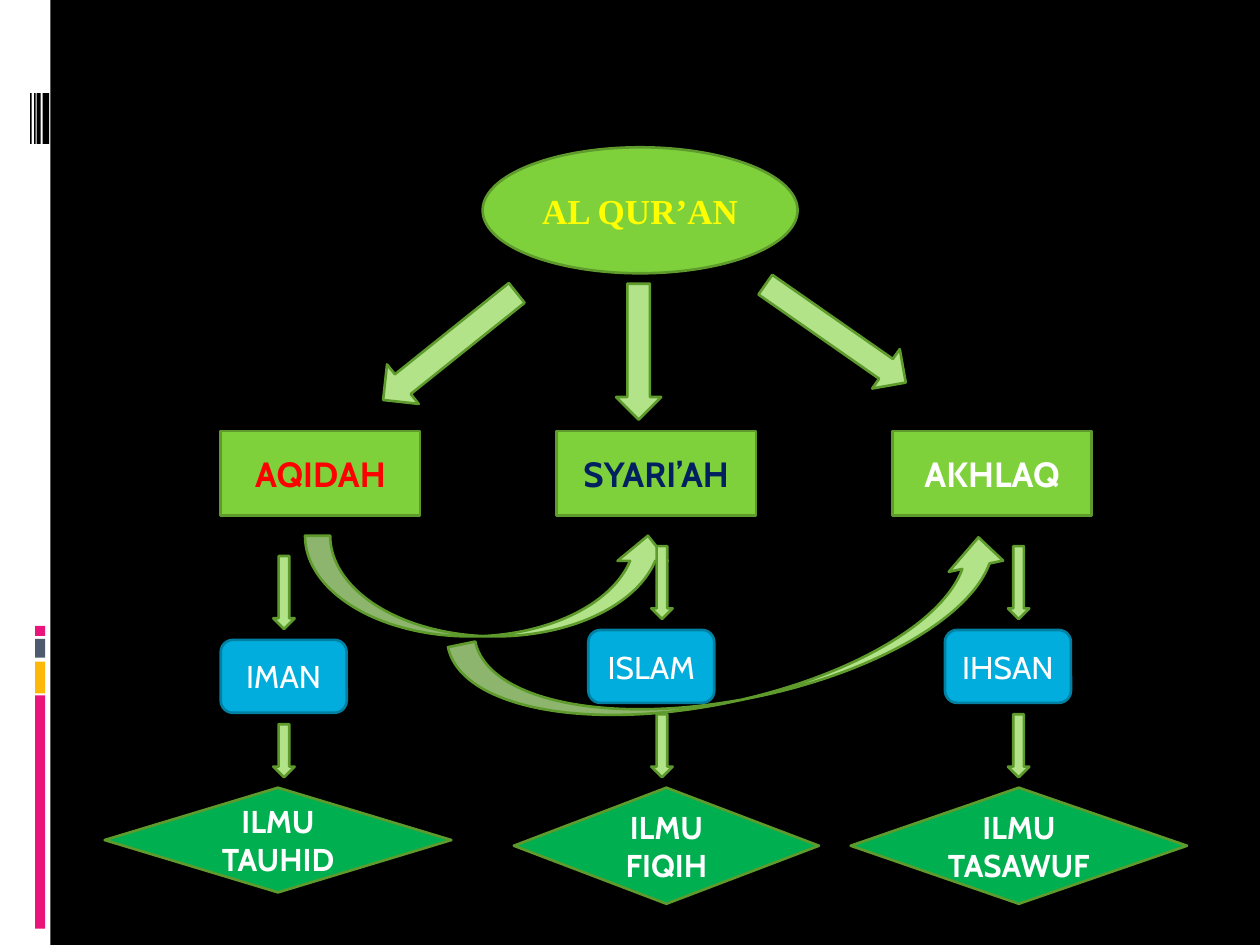
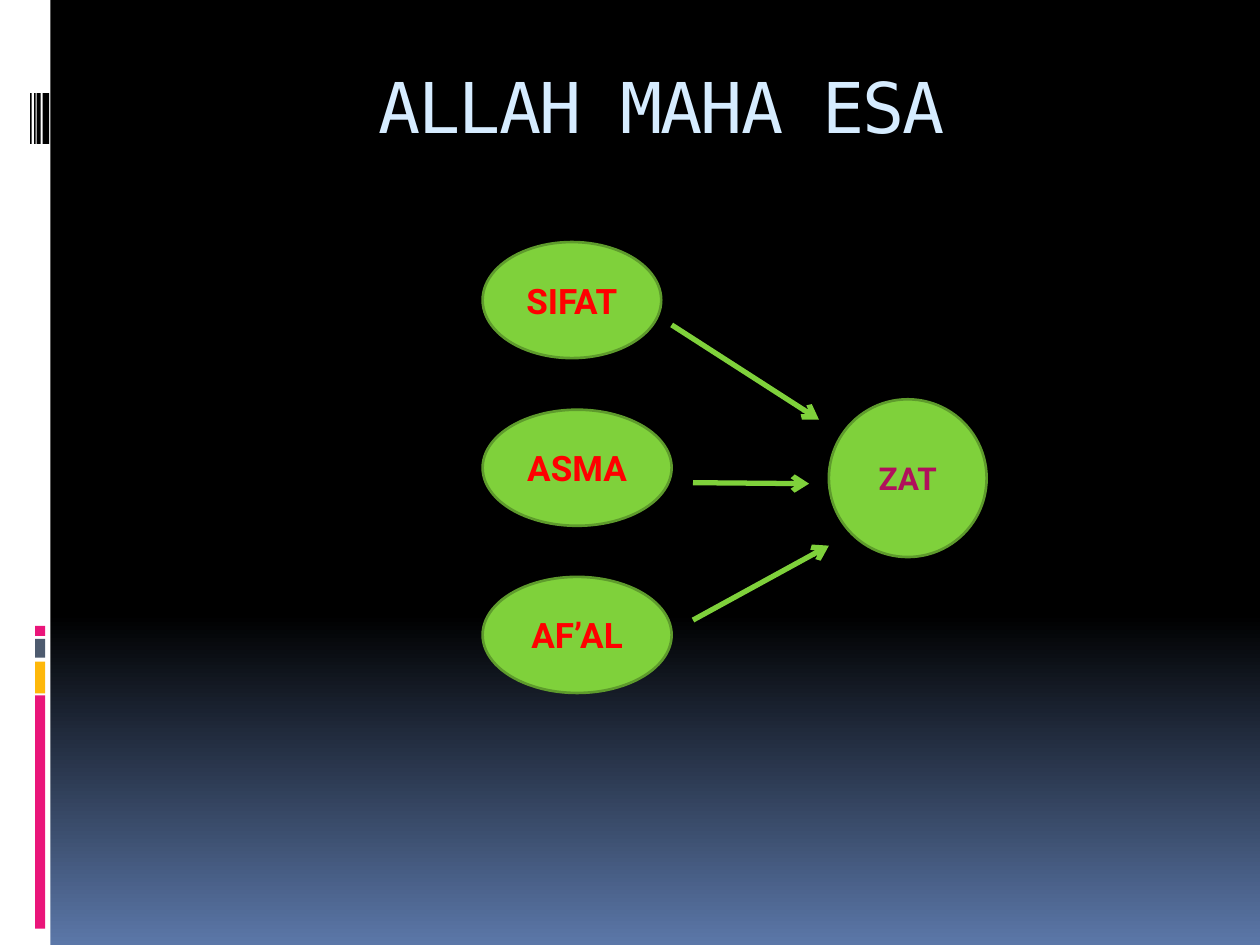
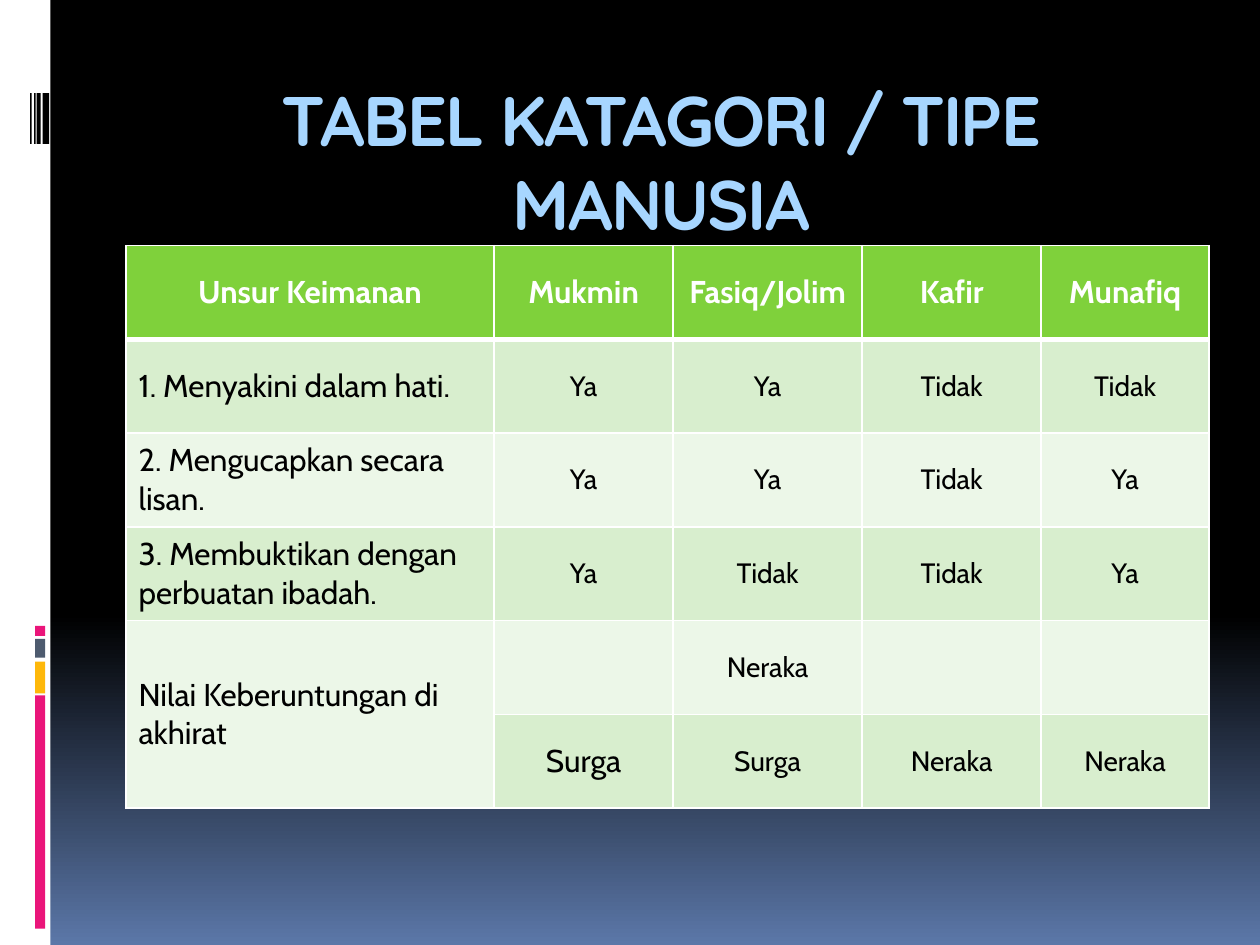
"""Build three slides on Islamic belief: sources, the oneness of God, and types of people."""
from dataclasses import dataclass

from lxml import etree
from pptx import Presentation
from pptx import util as u
from pptx.dml.color import RGBColor
from pptx.enum import shapes, text
from pptx.oxml.ns import qn


@dataclass(frozen=True)
class Theme:
    black: str = "000000"
    white: str = "FFFFFF"
    pink: str = "EA157A"
    amber: str = "FEB80A"
    slate: str = "4E5B6F"
    dusk: str = "5B77A8"
    green: str = "7FD13B"
    green_edge: str = "5E9B2C"
    pale_green: str = "B2E389"
    deep_green: str = "00B050"
    blue: str = "00ADDC"
    blue_edge: str = "0080A3"
    red: str = "FF0000"
    navy: str = "002060"
    yellow: str = "FFFF00"
    plum: str = "B0105C"
    title_ice: str = "D6ECFF"
    title_sky: str = "A7D6FF"
    row_dark: str = "D8EECE"
    row_light: str = "ECF7E8"
    font: str = "Cabin"
    title_size: int = 40
    large: int = 20
    medium: int = 18
    small: int = 16


theme = Theme()
MSO = shapes.MSO_SHAPE
CENTER = text.PP_ALIGN.CENTER


def write(frame, words, colour, align=CENTER, **values):
    """Put words in a text frame and format its runs."""
    frame.text = words
    para = frame.paragraphs[0]
    para.alignment = align
    for span in para.runs:
        for name, value in values.items():
            setattr(span.font, name, value)
        span.font.color.rgb = RGBColor.from_string(colour)


def add_figure(page, kind, place, fill, edge=None, turn=0):
    """Add a filled preset shape at left, top, width, height in centimetres."""
    figure = page.shapes.add_shape(kind, *map(u.Cm, place))
    figure.shadow.inherit = False
    figure.rotation = turn
    figure.fill.solid()
    figure.fill.fore_color.rgb = RGBColor.from_string(fill)
    if edge:
        figure.line.color.rgb = RGBColor.from_string(edge)
        figure.line.width = u.Pt(1.5)
    else:
        figure.line.fill.background()
    return figure


deck = Presentation()
deck.slide_width, deck.slide_height = u.Cm(25.4), u.Cm(19.05)
master = deck.slide_master
backdrop = master.background.fill
backdrop.gradient()
backdrop.gradient_angle = 270
for stop, position, colour in zip(backdrop.gradient_stops, (0.65, 1), (theme.black, theme.dusk)):
    stop.position = position
    stop.color.rgb = RGBColor.from_string(colour)

blank, title_only = deck.slide_layouts[6], deck.slide_layouts[5]
sources = deck.slides.add_slide(blank)

side_band = [((0, 0, 1.02, 19.05), theme.white)]
for top, height, colour in (
    (14.02, 4.7, theme.pink),
    (13.34, 0.64, theme.amber),
    (12.88, 0.38, theme.slate),
    (12.62, 0.2, theme.pink),
):
    side_band.append(((0.71, top, 0.2, height), colour))
for left, width in ((0.86, 0.13), (0.74, 0.08), (0.69, 0.03), (0.61, 0.03)):
    side_band.append(((left, 1.88, width, 1.02), theme.black))
for place, colour in side_band:
    stripe = add_figure(sources, MSO.RECTANGLE, place, colour)
    master.shapes._spTree.append(stripe._element)

sources.background.fill.solid()
sources.background.fill.fore_color.rgb = RGBColor.from_string(theme.black)
quran = add_figure(sources, MSO.OVAL, (9.73, 2.97, 6.35, 2.54), theme.green, theme.green_edge)
write(quran.text_frame, "AL QUR’AN", theme.yellow,
      name="Times New Roman", size=u.Pt(theme.large), bold=True)

pillars = (("AQIDAH", theme.red), ("SYARI’AH", theme.navy), ("AKHLAQ", theme.white))
for index, (words, colour) in enumerate(pillars):
    pillar = add_figure(sources, MSO.RECTANGLE, (4.45 + 6.77 * index, 8.69, 4.02, 1.7),
                        theme.green, theme.green_edge)
    write(pillar.text_frame, words, colour, name=theme.font, size=u.Pt(theme.large), bold=True)

for kind, place, turn in (
    (MSO.DOWN_ARROW, (8.56, 5.26, 1.02, 3.45), 51.3),
    (MSO.DOWN_ARROW, (16.36, 5, 0.97, 3.45), 304.9),
    (MSO.DOWN_ARROW, (12.42, 5.72, 0.91, 2.74), 0),
    (MSO.CURVED_UP_ARROW, (6.15, 10.8, 7.42, 2.03), 0),
    (MSO.CURVED_UP_ARROW, (9.14, 11.86, 11.48, 2.24), 348.3),
):
    add_figure(sources, kind, place, theme.pale_green, theme.green_edge, turn)

for words, left, width, height in (
    ("ILMU TAUHID", 2.11, 6.99, 2.11),
    ("ILMU FIQIH", 10.36, 6.15, 2.34),
    ("ILMU TASAWUF", 17.15, 6.78, 2.34),
):
    science = add_figure(sources, MSO.FLOWCHART_DECISION, (left, 15.88, width, height),
                         theme.deep_green, theme.green_edge)
    write(science.text_frame, words, theme.white,
          name=theme.font, size=u.Pt(theme.medium), bold=True)

for words, left, top, arrow_left in (
    ("IMAN", 4.45, 12.9, 5.51),
    ("ISLAM", 11.86, 12.7, 13.13),
    ("IHSAN", 19.05, 12.7, 20.32),
):
    practice = add_figure(sources, MSO.ROUNDED_RECTANGLE, (left, top, 2.54, 1.47),
                          theme.blue, theme.blue_edge)
    write(practice.text_frame, words, theme.white, name=theme.font, size=u.Pt(theme.medium))
    for arrow_top, height in ((top - 1.69, 1.47), (top + 1.7, 13.97 - top)):
        add_figure(sources, MSO.DOWN_ARROW, (arrow_left, arrow_top, 0.43, height),
                   theme.pale_green, theme.green_edge)

titled_pages = []
for words, top, height, anchor, font, colour, bold in (
    ("ALLAH MAHA ESA", 1.07, 2.11, text.MSO_ANCHOR.MIDDLE,
     "DejaVu Sans Mono", theme.title_ice, False),
    ("TABEL KATAGORI / TIPE\vMANUSIA", 1.42, 2.54, text.MSO_ANCHOR.TOP,
     "Quicksand", theme.title_sky, True),
):
    page = deck.slides.add_slide(title_only)
    title = page.shapes.title
    title.left, title.top, title.width, title.height = map(u.Cm, (2.54, top, 21.59, height))
    title.text_frame.auto_size = text.MSO_AUTO_SIZE.NONE
    title.text_frame.vertical_anchor = anchor
    write(title.text_frame, words, colour, name=font, size=u.Pt(theme.title_size), bold=bold)
    for span in title.text_frame.paragraphs[0].runs:
        span.font._element.set("spc", "-100")
    titled_pages.append(page)
oneness, categories = titled_pages

for words, place, colour, size in (
    ("ZAT", (16.71, 8.05, 3.18, 3.18), theme.plum, theme.medium),
    ("SIFAT", (9.73, 4.88, 3.6, 2.34), theme.red, theme.large),
    ("ASMA", (9.73, 8.26, 3.81, 2.34), theme.red, theme.large),
    ("AF’AL", (9.73, 11.63, 3.81, 2.34), theme.red, theme.large),
):
    oval = add_figure(oneness, MSO.OVAL, place, theme.green, theme.green_edge)
    write(oval.text_frame, words, colour, name="Roboto", size=u.Pt(size), bold=True)

for ends in (
    (13.54, 6.55, 16.51, 8.46),
    (13.97, 9.73, 16.31, 9.75),
    (13.97, 12.5, 16.71, 11),
):
    arrow = oneness.shapes.add_connector(shapes.MSO_CONNECTOR.STRAIGHT, *map(u.Cm, ends))
    arrow.line.color.rgb = RGBColor.from_string(theme.green)
    arrow.line.width = u.Pt(3)
    etree.SubElement(arrow.line._get_or_add_ln(), qn("a:tailEnd"), type="arrow")
    etree.SubElement(arrow._element.spPr, qn("a:effectLst"))

rows = (
    ("Unsur Keimanan", "Mukmin", "Fasiq/Jolim", "Kafir", "Munafiq"),
    ("1. Menyakini dalam hati.", "Ya", "Ya", "Tidak", "Tidak"),
    ("2. Mengucapkan secara lisan.", "Ya", "Ya", "Tidak", "Ya"),
    ("3. Membuktikan dengan perbuatan ibadah.", "Ya", "Tidak", "Tidak", "Ya"),
    ("Nilai Keberuntungan di akhirat", "", "Neraka", "", ""),
    ("", "Surga", "Surga", "Neraka", "Neraka"),
)
widths = (7.42, 3.61, 3.81, 3.61, 3.38)
row_height = 1.89
place = (2.54, 4.95, sum(widths), row_height * len(rows))
table = categories.shapes.add_table(len(rows), len(widths), *map(u.Cm, place)).table
table.first_row = table.horz_banding = False
for column, width in zip(table.columns, widths):
    column.width = u.Cm(width)
for r, row in enumerate(rows):
    table.rows[r].height = u.Cm(row_height)
    for c, words in enumerate(row):
        cell = table.cell(r, c)
        heavy = {0: "lnB", 1: "lnT"}.get(r)
        for side in ("lnL", "lnR", "lnT", "lnB"):
            weight = u.Pt(3 if side == heavy else 1)
            border = etree.SubElement(cell._tc.get_or_add_tcPr(), qn(f"a:{side}"), w=str(weight))
            paint = etree.SubElement(border, qn("a:solidFill"))
            etree.SubElement(paint, qn("a:srgbClr"), val=theme.white)
        header = r == 0
        fill = theme.green if header else theme.row_dark if r % 2 else theme.row_light
        cell.fill.solid()
        cell.fill.fore_color.rgb = RGBColor.from_string(fill)
        cell.vertical_anchor = text.MSO_ANCHOR.MIDDLE
        large = header or c == 0 or (r, c) == (5, 1)
        if not large:
            cell.margin_left = cell.margin_right = u.Cm(0.18)
            cell.margin_top = cell.margin_bottom = 0
        if words:
            write(cell.text_frame, words, theme.white if header else theme.black,
                  CENTER if header or c else text.PP_ALIGN.LEFT, name=theme.font,
                  size=u.Pt(theme.medium if large else theme.small), bold=header)
table.cell(4, 0).merge(table.cell(5, 0))

deck.save("out.pptx")
